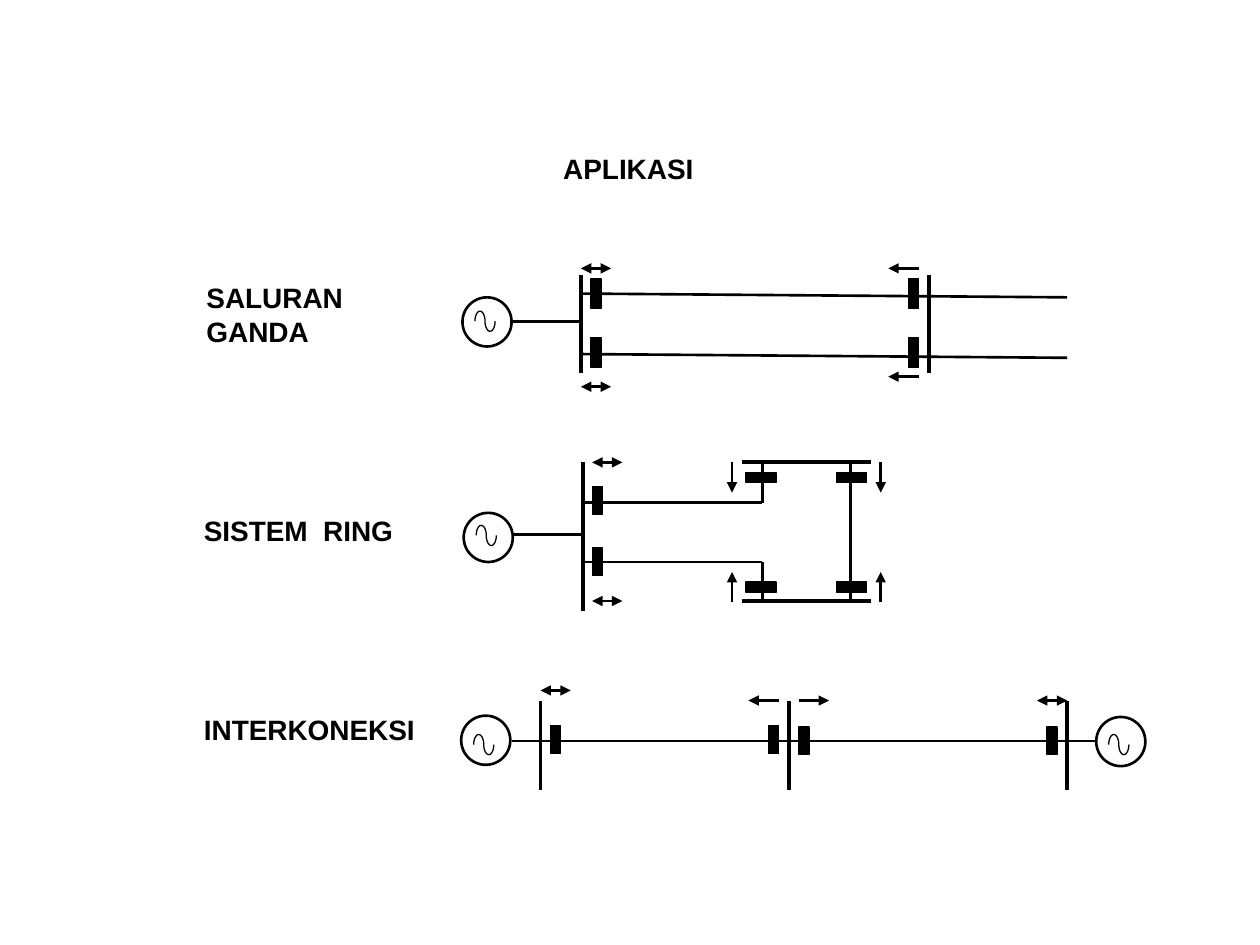
"""Build the slide of directional relay applications in three network types."""
import math

from lxml import etree
from pptx import Presentation
from pptx import util as u
from pptx.dml.color import RGBColor
from pptx.enum import shapes, text
from pptx.oxml.ns import qn

BLACK = RGBColor(0x00, 0x00, 0x00)
FONT = "Arial"
THIN, WIRE, BUS = 0.75, 1.5, 2.25
ARROW = 0.24
RELAY_THICKNESS = 0.08
GENERATOR_SIZE = 0.39


def write_text(shape, content, size=16, bold=True, color=BLACK):
    """Fill a shape with left-aligned text that may use its full right side."""
    frame = shape.text_frame
    frame.text = content
    frame.word_wrap = True
    frame.auto_size = text.MSO_AUTO_SIZE.SHAPE_TO_FIT_TEXT
    frame.vertical_anchor = text.MSO_ANCHOR.TOP
    frame.margin_left, frame.margin_right = u.Inches(0.1), 0
    frame.margin_top = frame.margin_bottom = u.Inches(0.05)
    for paragraph in frame.paragraphs:
        paragraph.alignment = text.PP_ALIGN.LEFT
        paragraph.font.name = FONT
        paragraph.font.size = u.Pt(size)
        paragraph.font.bold = bold
        paragraph.font.color.rgb = color


def add_title(slide, content, left, top, width, height):
    """Move the title placeholder into place and fill it."""
    title = slide.shapes.title
    title.left, title.top = u.Inches(left), u.Inches(top)
    title.width, title.height = u.Inches(width), u.Inches(height)
    write_text(title, content)


def add_label(slide, content, left, top, width, height=0.37):
    """Add the name of a network type."""
    box = slide.shapes.add_textbox(*map(u.Inches, (left, top, width, height)))
    write_text(box, content)


def set_outline(shape, width):
    """Give a shape or connector a black line."""
    shape.line.color.rgb = BLACK
    shape.line.width = u.Pt(width)


def add_line(slide, x1, y1, x2, y2, width=WIRE, head=False, tail=False):
    """Draw a straight line with optional arrowheads at its ends."""
    line = slide.shapes.add_connector(
        shapes.MSO_CONNECTOR.STRAIGHT, *map(u.Inches, (x1, y1, x2, y2)))
    set_outline(line, width)
    outline = line.line._get_or_add_ln()
    for name, wanted in (("a:headEnd", head), ("a:tailEnd", tail)):
        if wanted:
            etree.SubElement(outline, qn(name), type="triangle")
    etree.SubElement(line._element.spPr, qn("a:effectLst"))


def add_horizontal_arrow(slide, x, y, head=False, tail=False):
    """Draw a tripping-direction arrow to the right of x."""
    add_line(slide, x, y, x + ARROW, y, head=head, tail=tail)


def add_vertical_arrow(slide, x, y, head=False, tail=False):
    """Draw a tripping-direction arrow downwards from y."""
    add_line(slide, x, y, x, y + ARROW, head=head, tail=tail)


def add_relay(slide, left, top, width=RELAY_THICKNESS, height=ARROW):
    """Draw a relay as a solid bar."""
    relay = slide.shapes.add_shape(
        shapes.MSO_SHAPE.RECTANGLE, *map(u.Inches, (left, top, width, height)))
    relay.shadow.inherit = False
    relay.fill.solid()
    relay.fill.fore_color.rgb = BLACK
    set_outline(relay, THIN)


def add_wave(slide, center_x, center_y, steps=32):
    """Draw one cycle of a wave from two half ellipses."""
    points = []
    for step in range(steps + 1):
        angle = 2 * math.pi * step / steps
        side = -0.04 if angle <= math.pi else 0.04
        points.append((u.Inches(center_x + side * (1 + math.cos(angle))),
                       u.Inches(center_y - 0.08 * math.sin(angle))))
    builder = slide.shapes.build_freeform(*points[0])
    builder.add_line_segments(points[1:], close=False)
    wave = builder.convert_to_shape()
    wave.shadow.inherit = False
    wave.fill.background()
    set_outline(wave, THIN)


def add_generator(slide, left, top, wave_y):
    """Draw a generator: a circle holding a wave."""
    circle = slide.shapes.add_shape(
        shapes.MSO_SHAPE.OVAL,
        *map(u.Inches, (left, top, GENERATOR_SIZE, GENERATOR_SIZE)))
    circle.shadow.inherit = False
    circle.fill.background()
    set_outline(circle, WIRE)
    add_wave(slide, left + 0.18, wave_y)


def add_double_line(slide):
    """Draw the double-circuit network."""
    add_label(slide, "SALURAN\nGANDA", 1.54, 2.18, 1.28, 0.64)
    add_generator(slide, 3.67, 2.36, 2.55)
    add_line(slide, 4.06, 2.55, 4.61, 2.55)
    for bus_x in (4.61, 7.37):
        add_line(slide, bus_x, 2.18, bus_x, 2.96, BUS)
    for wire_y, relay_y in ((2.33, 2.21), (2.81, 2.68)):
        add_line(slide, 4.61, wire_y, 8.47, wire_y + 0.03)
        for relay_x in (4.69, 7.21):
            add_relay(slide, relay_x, relay_y)
    for left_y, right_y in ((2.13, 2.13), (3.07, 2.99)):
        add_horizontal_arrow(slide, 4.61, left_y, head=True, tail=True)
        add_horizontal_arrow(slide, 7.05, right_y, head=True)


def add_ring(slide):
    """Draw the ring network."""
    add_label(slide, "SISTEM  RING", 1.52, 4.03, 1.7)
    add_generator(slide, 3.68, 4.07, 4.25)
    add_line(slide, 4.08, 4.24, 4.63, 4.24)
    add_line(slide, 4.63, 3.67, 4.63, 4.85, BUS)
    for bus_y, wire_y, relay_y in ((3.67, 3.99, 3.86), (4.77, 4.46, 4.35)):
        add_line(slide, 5.89, bus_y, 6.91, bus_y, BUS)
        add_line(slide, 4.63, wire_y, 6.05, wire_y)
        add_line(slide, 6.05, bus_y, 6.05, wire_y)
        add_line(slide, 6.75, bus_y, 6.75, 4.46)
        add_relay(slide, 4.7, relay_y, height=0.22)
        add_horizontal_arrow(slide, 4.7, bus_y, head=True, tail=True)
    for relay_y in (3.75, 4.62):
        for relay_x in (5.92, 6.64):
            add_relay(slide, relay_x, relay_y, ARROW, RELAY_THICKNESS)
    for arrow_x in (5.81, 6.99):
        add_vertical_arrow(slide, arrow_x, 3.67, tail=True)
        add_vertical_arrow(slide, arrow_x, 4.54, head=True)


def add_interconnection(slide):
    """Draw the interconnected network."""
    add_label(slide, "INTERKONEKSI", 1.52, 5.61, 1.87)
    add_generator(slide, 3.66, 5.68, 5.91)
    add_generator(slide, 8.7, 5.69, 5.91)
    add_line(slide, 4.06, 5.88, 8.7, 5.88, THIN)
    for bus_x in (4.29, 6.26, 8.47):
        add_line(slide, bus_x, 5.56, bus_x, 6.27, BUS)
    for relay_x, relay_y in ((4.37, 5.76), (6.1, 5.76), (6.34, 5.77), (8.31, 5.77)):
        add_relay(slide, relay_x, relay_y, height=0.22)
    add_horizontal_arrow(slide, 4.29, 5.48, head=True, tail=True)
    add_horizontal_arrow(slide, 5.94, 5.56, head=True)
    add_horizontal_arrow(slide, 6.34, 5.56, tail=True)
    add_horizontal_arrow(slide, 8.23, 5.56, head=True, tail=True)


def main():
    """Build and save the presentation."""
    presentation = Presentation()
    presentation.slide_width = u.Inches(10)
    presentation.slide_height = u.Inches(7.5)
    slide = presentation.slides.add_slide(presentation.slide_layouts[5])
    add_title(slide, "APLIKASI", 4.37, 1.15, 1.23, 0.37)
    add_double_line(slide)
    add_ring(slide)
    add_interconnection(slide)
    presentation.save("out.pptx")


if __name__ == "__main__":
    main()
